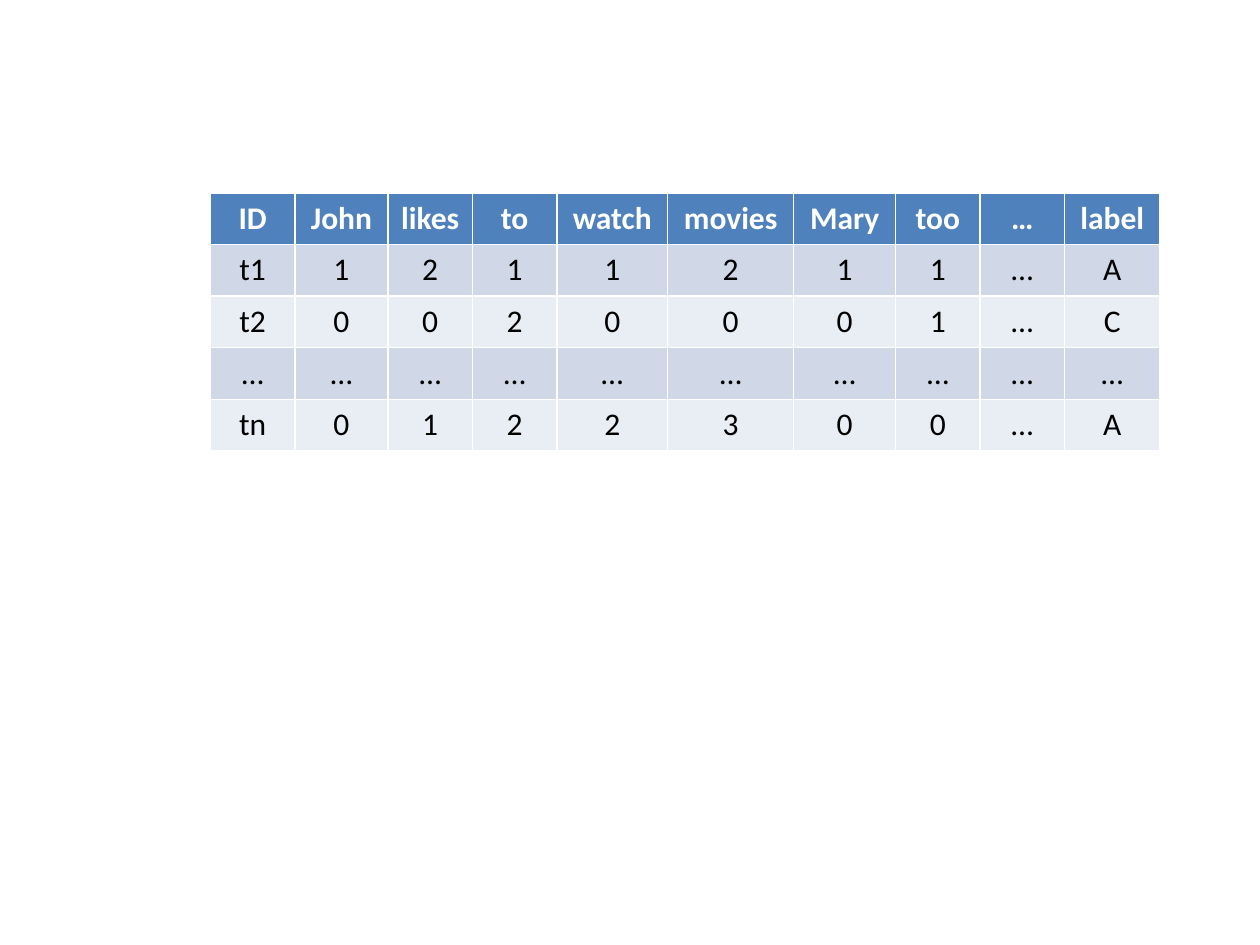
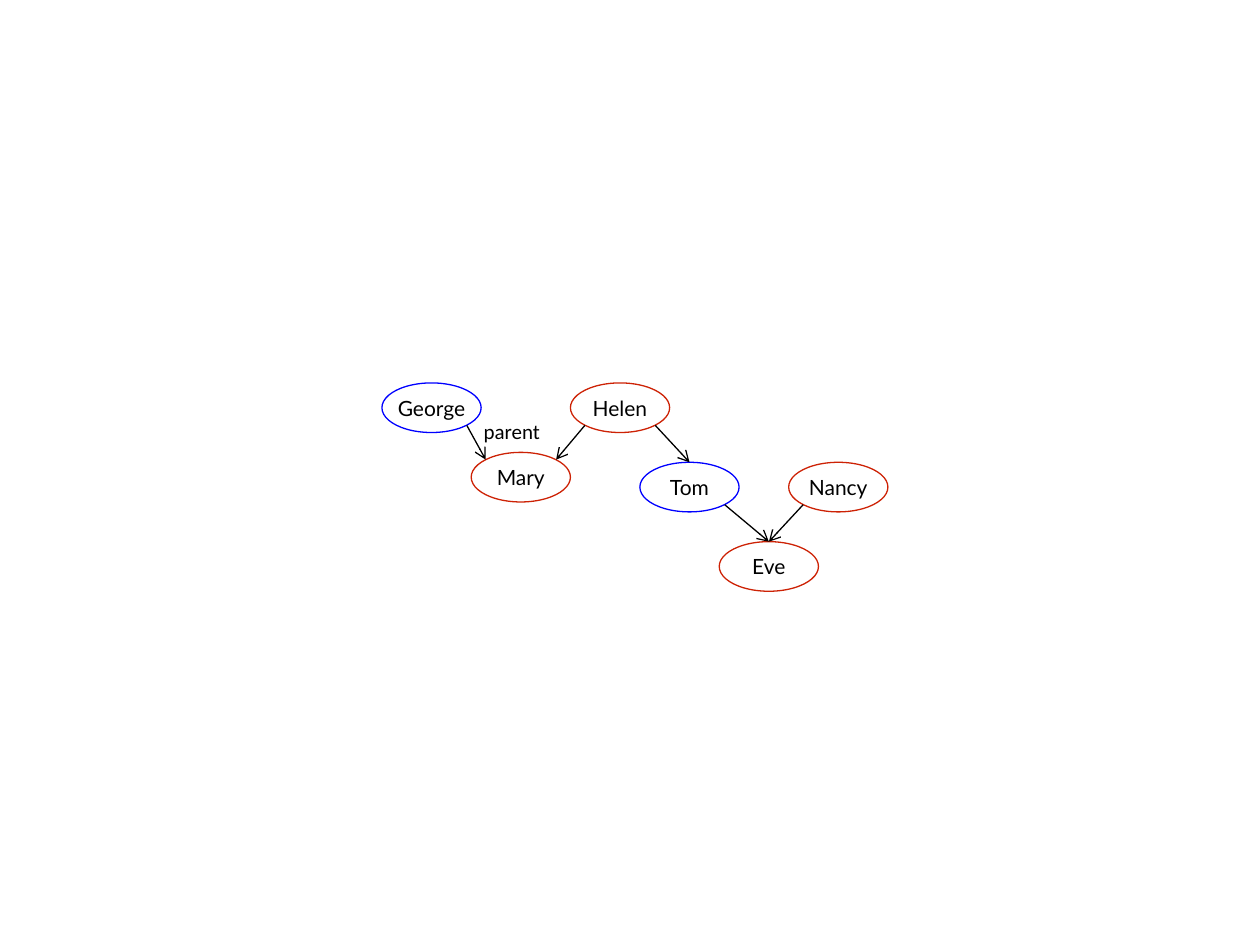
from lxml import etree
from pptx import Presentation
from pptx import util as u
from pptx.dml.color import RGBColor
from pptx.enum import shapes, text
from pptx.oxml import ns

BLACK = RGBColor(0x00, 0x00, 0x00)
WHITE = RGBColor(0xFF, 0xFF, 0xFF)
HEADER = RGBColor(0x4F, 0x81, 0xBD)
BANDS = (RGBColor(0xD0, 0xD8, 0xE8), RGBColor(0xE9, 0xED, 0xF4))
BLUE = RGBColor(0x00, 0x00, 0xFF)
RED = RGBColor(0xCD, 0x22, 0x05)

WIDTH, HEIGHT = u.Inches(10), u.Inches(7.5)
TABLE_LEFT, TABLE_TOP, ROW_HEIGHT = u.Inches(1.67), u.Inches(1.53), u.Inches(0.41)
COLUMN_WIDTHS = (0.67, 0.74, 0.67, 0.67, 0.88, 1, 0.81, 0.67, 0.67, 0.76)
WORD_COUNTS = (
    "ID John likes to watch movies Mary too … label",
    "t1 1 2 1 1 2 1 1 … A",
    "t2 0 0 2 0 0 0 1 … C",
    "… … … … … … … … … …",
    "tn 0 1 2 2 3 0 0 … A",
)

STEP = u.Mm(2)
TREE_LEFT, TREE_TOP = u.Mm(77), u.Mm(77.2)
NODE_COLUMNS, NODE_ROWS = 10, 5
PEOPLE = {
    "George": (0, 0, BLUE),
    "Tom": (26, 8, BLUE),
    "Mary": (9, 7, RED),
    "Helen": (19, 0, RED),
    "Nancy": (41, 8, RED),
    "Eve": (34, 16, RED),
}
DIAGONAL = 0.71
TOP = (0, -1)
TOP_LEFT, TOP_RIGHT = (-DIAGONAL, -DIAGONAL), (DIAGONAL, -DIAGONAL)
BOTTOM_LEFT, BOTTOM_RIGHT = (-DIAGONAL, DIAGONAL), (DIAGONAL, DIAGONAL)
PARENTS = (
    ("George", BOTTOM_RIGHT, "Mary", TOP_LEFT),
    ("Helen", BOTTOM_LEFT, "Mary", TOP_RIGHT),
    ("Tom", BOTTOM_RIGHT, "Eve", TOP),
    ("Helen", BOTTOM_RIGHT, "Tom", TOP),
    ("Nancy", BOTTOM_LEFT, "Eve", TOP),
)


def add_page(deck):
    """Add a blank slide with a white background."""
    page = deck.slides.add_slide(deck.slide_layouts[6])
    page.background.fill.solid()
    page.background.fill.fore_color.rgb = WHITE
    return page


def style(para, font, size, color, align=text.PP_ALIGN.CENTER, bold=False):
    """Set the alignment and font of a paragraph."""
    para.alignment = align
    para.font.name, para.font.size, para.font.bold = font, u.Pt(size), bold
    para.font.color.rgb = color


def add_count_table(page):
    """Add the table of word counts with a header and two band colours."""
    rows = [line.split() for line in WORD_COUNTS]
    table = page.shapes.add_table(
        len(rows), len(COLUMN_WIDTHS), TABLE_LEFT, TABLE_TOP,
        u.Inches(sum(COLUMN_WIDTHS)), ROW_HEIGHT * len(rows)).table
    for column, width in zip(table.columns, COLUMN_WIDTHS):
        column.width = u.Inches(width)
    for i, words in enumerate(rows):
        is_header = i == 0
        for j, word in enumerate(words):
            cell = table.cell(i, j)
            cell.text = word
            cell.fill.solid()
            cell.fill.fore_color.rgb = HEADER if is_header else BANDS[(i - 1) % 2]
            style(cell.text_frame.paragraphs[0], "Calibri", 18,
                  WHITE if is_header else BLACK, bold=is_header)


def tree_point(column, row):
    """Turn a column and row of the tree grid into slide lengths."""
    return TREE_LEFT + round(column * STEP), TREE_TOP + round(row * STEP)


def add_person(page, name, column, row, color):
    """Add an outlined ellipse with a person's name."""
    node = page.shapes.add_shape(
        shapes.MSO_SHAPE.OVAL, *tree_point(column, row),
        NODE_COLUMNS * STEP, NODE_ROWS * STEP)
    node.shadow.inherit = False
    node.fill.background()
    node.line.color.rgb, node.line.width = color, u.Pt(0.75)
    frame = node.text_frame
    frame.margin_left = frame.margin_right = frame.margin_top = frame.margin_bottom = 0
    frame.vertical_anchor = text.MSO_ANCHOR.MIDDLE
    frame.text = name
    style(frame.paragraphs[0], "Lato", 12, BLACK)


def rim_point(name, direction):
    """Find the point on a person's ellipse in the given direction."""
    column, row, _ = PEOPLE[name]
    across, down = direction
    return tree_point(column + NODE_COLUMNS / 2 * (1 + across),
                      row + NODE_ROWS / 2 * (1 + down))


def add_arrow(page, start, end):
    """Add a thin black line with an open arrowhead at its end."""
    arrow = page.shapes.add_connector(shapes.MSO_CONNECTOR.STRAIGHT, *start, *end)
    arrow.line.color.rgb, arrow.line.width = BLACK, u.Pt(0.75)
    etree.SubElement(arrow.line._get_or_add_ln(), ns.qn("a:tailEnd"), type="arrow")
    etree.SubElement(arrow._element.spPr, ns.qn("a:effectLst"))


def add_label(page, words, column, row):
    """Add a small text label on the tree grid."""
    box = page.shapes.add_textbox(
        *tree_point(column, row), u.Inches(0.68), u.Inches(0.3))
    frame = box.text_frame
    frame.word_wrap = False
    frame.auto_size = text.MSO_AUTO_SIZE.SHAPE_TO_FIT_TEXT
    frame.text = words
    style(frame.paragraphs[0], "Calibri", 12, BLACK, text.PP_ALIGN.LEFT)


def add_family_tree(page):
    """Add the people, the arrows to their children and the arrow label."""
    for name, (column, row, color) in PEOPLE.items():
        add_person(page, name, column, row, color)
    for parent, leaving, child, arriving in PARENTS:
        add_arrow(page, rim_point(parent, leaving), rim_point(child, arriving))
    add_label(page, "parent", 9, 3)


def main():
    """Build the deck and save it."""
    deck = Presentation()
    deck.slide_width, deck.slide_height = WIDTH, HEIGHT
    add_count_table(add_page(deck))
    add_family_tree(add_page(deck))
    deck.save("out.pptx")


if __name__ == "__main__":
    main()
